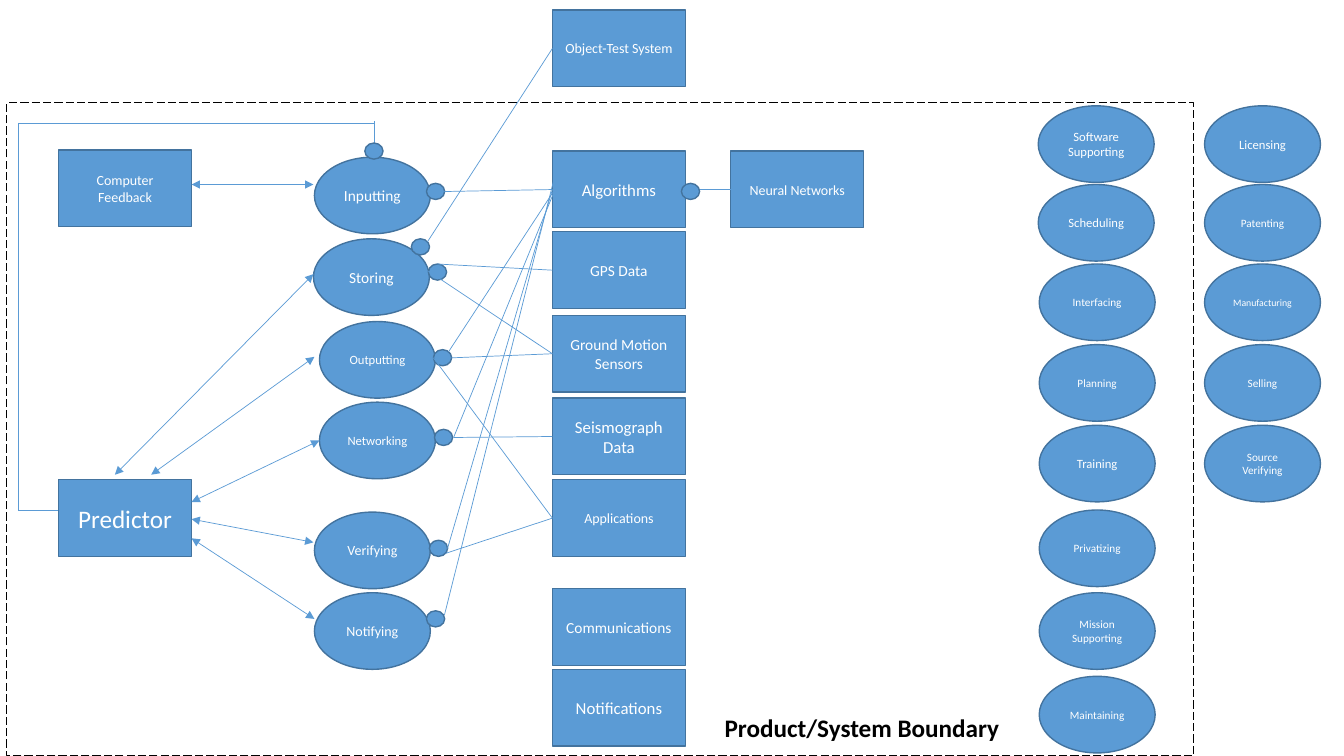
from typing import NamedTuple

from lxml import etree
from pptx import Presentation
from pptx.dml.color import RGBColor
from pptx.enum.dml import MSO_LINE
from pptx.enum.shapes import MSO_CONNECTOR, MSO_SHAPE
from pptx.enum.text import MSO_ANCHOR, PP_ALIGN
from pptx.oxml.ns import qn
from pptx.util import Pt

RECTANGLE = MSO_SHAPE.RECTANGLE
ELLIPSE = MSO_SHAPE.OVAL
INSTRUMENT_MARK = MSO_SHAPE.FLOWCHART_CONNECTOR
STRAIGHT = MSO_CONNECTOR.STRAIGHT
LONG_DASH = MSO_LINE.LONG_DASH
CENTER, MIDDLE = PP_ALIGN.CENTER, MSO_ANCHOR.MIDDLE

FONT = "Calibri"
BLUE, EDGE, WHITE, BLACK = "5B9BD5", "43739E", "FFFFFF", "000000"
OBJECT_SIZE = (95, 54.7)
PROCESS_SIZE = (82.8, 54.7)
MARK_SIZE = (13, 11.5)
OBJECT_X, LICENSE_X = 394.6, 860.4


class Node(NamedTuple):
    label: str
    left: float
    top: float
    font_size: float


class Link(NamedTuple):
    x1: float
    y1: float
    x2: float
    y2: float
    head: bool = False
    tail: bool = False


OBJECTS = [
    Node("Algorithms", OBJECT_X, 108, 12),
    Node("GPS Data", OBJECT_X, 165.6, 11),
    Node("Object-Test System", OBJECT_X, 7.2, 10),
    Node("Ground Motion Sensors", OBJECT_X, 225.4, 11),
    Node("Seismograph Data", OBJECT_X, 284.4, 12),
    Node("Applications", OBJECT_X, 342.7, 10),
    Node("Communications", OBJECT_X, 420.5, 11),
    Node("Notifications", OBJECT_X, 478.1, 12),
    Node("Predictor", 41.8, 342.7, 18),
    Node("Computer Feedback", 41.8, 107.3, 10),
    Node("Neural Networks", 522, 108, 10),
]

PROCESSES = [
    Node("Storing", 223.9, 170.6, 11),
    Node("Inputting", 224.6, 112.3, 11),
    Node("Outputting", 228.2, 229.7, 9),
    Node("Networking", 228.2, 287.3, 9),
    Node("Verifying", 224.6, 365.8, 10),
    Node("Notifying", 224.6, 423.4, 10),
    Node("Software Supporting", 741.6, 75.6, 9),
    Node("Scheduling", 741.6, 131.8, 9),
    Node("Interfacing", 742.3, 188.6, 8),
    Node("Planning", 742.3, 246.2, 8),
    Node("Training", 742.3, 303.8, 9),
    Node("Privatizing", 742.3, 364.3, 8),
    Node("Mission Supporting", 742.3, 423.4, 8),
    Node("Maintaining", 742.3, 483.1, 8),
    Node("Licensing", LICENSE_X, 75.6, 9),
    Node("Patenting", LICENSE_X, 131.8, 8),
    Node("Manufacturing", LICENSE_X, 188.6, 7),
    Node("Selling", LICENSE_X, 246.2, 8),
    Node("Source Verifying", LICENSE_X, 303.8, 8),
]

AGENT_LINKS = [
    Link(82.1, 339.1, 223.9, 195.8, True, True),
    Link(108, 339.1, 224.6, 254.9, True, True),
    Link(136.8, 358.6, 228.2, 314.6, True, True),
    Link(136.8, 370.8, 223.9, 387.4, True, True),
    Link(136.8, 384.5, 224.6, 442.1, True, True),
    Link(136.8, 131.8, 223.9, 131.8, True, True),
    # Route from the predictor around to inputting
    Link(267.1, 86.4, 267.1, 112.3, tail=True),
    Link(267.8, 87.8, 13, 87.8),
    Link(13, 87.8, 13, 364.3),
    Link(13, 364.3, 41.8, 364.3),
]

MARKS = [
    (260.6, 102.2), (293.8, 170.6), (306, 188.6), (309.6, 249.8), (310.3, 306.7),
    (306.7, 385.9), (304.6, 436.3), (304.6, 131),
]
NEURAL_MARK = (486.7, 131)

INSTRUMENT_LINKS = [
    Link(317.5, 136.8, 394.6, 135.4),
    Link(305.3, 172.8, 394.6, 34.6),
    Link(312.5, 188.6, 394.6, 193),
    Link(320.4, 251.3, 399.6, 130.3),
    Link(322.6, 255.6, 394.6, 252.7),
    Link(324, 312.5, 394.6, 311.8),
    Link(324, 312.5, 400.3, 126),
    Link(319.7, 391.7, 394.6, 135.4),
    Link(317.5, 439.2, 395.3, 129.6),
    Link(318.2, 395.3, 394.6, 370.1),
    Link(394.6, 370.1, 309.6, 255.6),
    Link(394.6, 252.7, 306, 193.7),
    Link(522, 135.4, 489.6, 135.4),
]


def color(hex_code: str) -> RGBColor:
    return RGBColor.from_string(hex_code)


def add_text(frame, text: str, size: float, hex_code: str, bold: bool = False) -> None:
    run = frame.paragraphs[0].add_run()
    run.text = text
    run.font.name = FONT
    run.font.size = Pt(size)
    run.font.bold = bold
    run.font.color.rgb = color(hex_code)


def add_blue_shape(kind, left: float, top: float, size: tuple[float, float]):
    shape = slide.shapes.add_shape(kind, Pt(left), Pt(top), *map(Pt, size))
    shape.shadow.inherit = False
    shape.fill.solid()
    shape.fill.fore_color.rgb = color(BLUE)
    shape.line.color.rgb = color(EDGE)
    shape.line.width = Pt(1)
    return shape


def add_node(node: Node, kind, size: tuple[float, float]) -> None:
    frame = add_blue_shape(kind, node.left, node.top, size).text_frame
    frame.word_wrap = True
    frame.vertical_anchor = MIDDLE
    frame.paragraphs[0].alignment = CENTER
    add_text(frame, node.label, node.font_size, WHITE)


def add_link(link: Link) -> None:
    ends = map(Pt, (link.x1, link.y1, link.x2, link.y2))
    connector = slide.shapes.add_connector(STRAIGHT, *ends)
    connector.line.color.rgb = color(BLUE)
    connector.line.width = Pt(0.5)
    properties = connector._element.spPr
    outline = properties.find(qn("a:ln"))
    for tag, wanted in (("a:headEnd", link.head), ("a:tailEnd", link.tail)):
        if wanted:
            etree.SubElement(outline, qn(tag), type="triangle")
    etree.SubElement(properties, qn("a:effectLst"))


presentation = Presentation()
presentation.slide_width, presentation.slide_height = Pt(960), Pt(540)
slide = presentation.slides.add_slide(presentation.slide_layouts[6])

# Objects and processes
for item in OBJECTS:
    add_node(item, RECTANGLE, OBJECT_SIZE)
for item in PROCESSES:
    add_node(item, ELLIPSE, PROCESS_SIZE)

# System boundary and its label
boundary = slide.shapes.add_shape(RECTANGLE, Pt(5), Pt(73.4), Pt(847.4), Pt(466.6))
boundary.shadow.inherit = False
boundary.fill.background()
boundary.line.color.rgb = color(BLACK)
boundary.line.width = Pt(0.75)
boundary.line.dash_style = LONG_DASH

boundary_label = slide.shapes.add_textbox(Pt(510.5), Pt(505.4), Pt(222.5), Pt(28.8))
boundary_label.text_frame.word_wrap = True
add_text(boundary_label.text_frame, "Product/System Boundary", 18, BLACK, bold=True)

# Links and instrument marks
for item in AGENT_LINKS:
    add_link(item)
for mark_left, mark_top in MARKS:
    add_blue_shape(INSTRUMENT_MARK, mark_left, mark_top, MARK_SIZE)
for item in INSTRUMENT_LINKS:
    add_link(item)
add_blue_shape(INSTRUMENT_MARK, *NEURAL_MARK, MARK_SIZE)

presentation.save("out.pptx")
